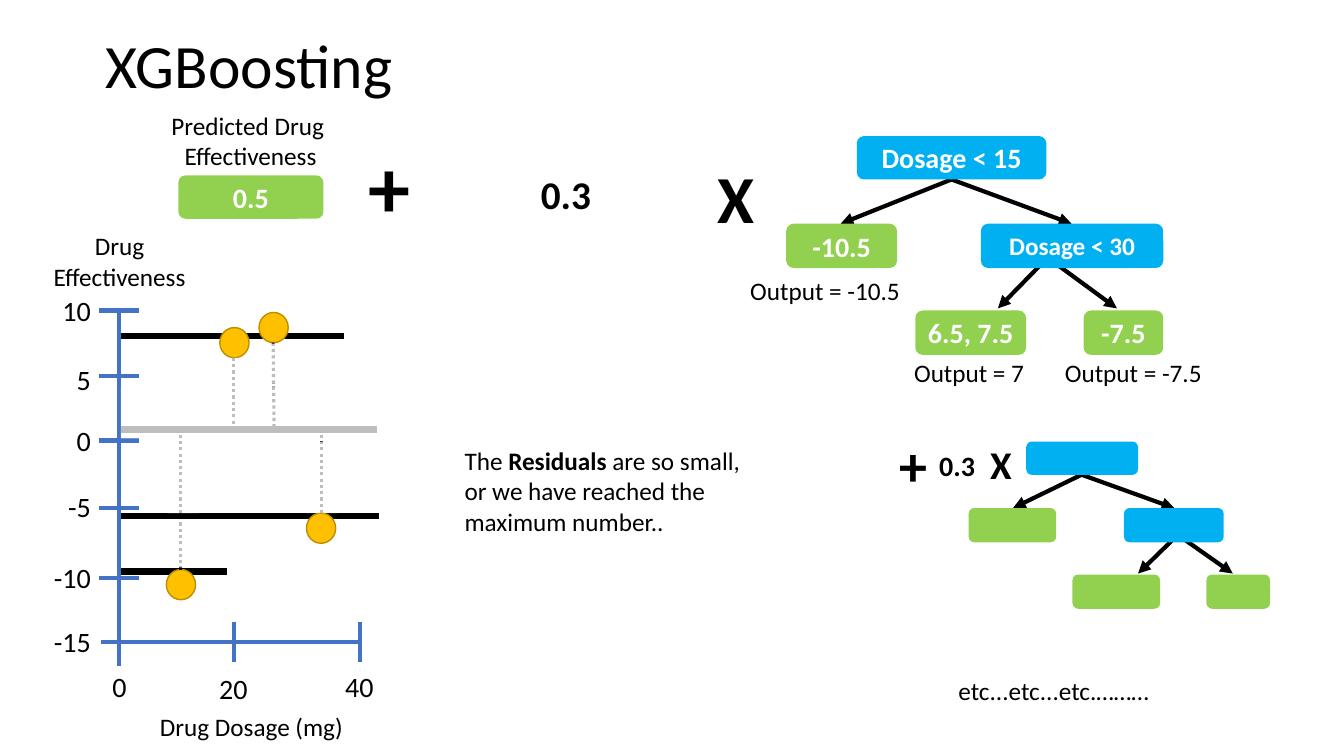
from lxml import etree
from pptx import Presentation
from pptx.dml.color import RGBColor
from pptx.enum.dml import MSO_LINE
from pptx.enum.shapes import MSO_CONNECTOR, MSO_SHAPE
from pptx.enum.text import MSO_ANCHOR, MSO_AUTO_SIZE, PP_ALIGN
from pptx.oxml.ns import qn
from pptx.util import Pt

STRAIGHT = MSO_CONNECTOR.STRAIGHT
DOTTED = MSO_LINE.ROUND_DOT
ROUNDED, OVAL, RECTANGLE = MSO_SHAPE.ROUNDED_RECTANGLE, MSO_SHAPE.OVAL, MSO_SHAPE.RECTANGLE
LEFT, CENTER, RIGHT = PP_ALIGN.LEFT, PP_ALIGN.CENTER, PP_ALIGN.RIGHT
FONT = "Calibri"
TITLE_ONLY = 5
COLORS = {
    "black": "000000",
    "white": "FFFFFF",
    "axis": "4472C4",
    "dot": "FFC000",
    "dot edge": "BD8E00",
    "node": "00B0F0",
    "leaf": "92D050",
}


def color(name):
    return RGBColor.from_string(COLORS[name])


def add_span(para, text, size, tint="black", bold=False):
    span = para.add_run()
    span.text = text
    span.font.name = FONT
    span.font.size = Pt(size)
    span.font.bold = bold
    span.font.color.rgb = color(tint)


def add_line(shapes, x1, y1, x2, y2, width, tint="black", dash=None, arrow=False):
    line = shapes.add_connector(STRAIGHT, Pt(x1), Pt(y1), Pt(x2), Pt(y2))
    line.line.width = Pt(width)
    line.line.color.rgb = color(tint)
    if dash:
        line.line.dash_style = dash
    if arrow:
        etree.SubElement(line.line._get_or_add_ln(), qn("a:tailEnd"), type="triangle")
    etree.SubElement(line._element.spPr, qn("a:effectLst"))


def add_filled(shapes, kind, frame, tint, edge=None):
    shape = shapes.add_shape(kind, *map(Pt, frame))
    shape.shadow.inherit = False
    shape.fill.solid()
    shape.fill.fore_color.rgb = color(tint)
    if edge:
        shape.line.color.rgb = color(edge)
        shape.line.width = Pt(1)
    else:
        shape.line.fill.background()
    return shape


def add_node(shapes, frame, tint, label="", size=20):
    node = add_filled(shapes, ROUNDED, frame, tint)
    if label:
        node.text_frame.vertical_anchor = MSO_ANCHOR.MIDDLE
        para = node.text_frame.paragraphs[0]
        para.alignment = CENTER
        add_span(para, label, size, "white", True)


def add_veil(shapes, frame):
    veil = add_filled(shapes, RECTANGLE, frame, "white")
    tint = veil._element.spPr.find(qn("a:solidFill")).find(qn("a:srgbClr"))
    etree.SubElement(tint, qn("a:alpha"), val="74000")


def add_label(shapes, frame, paragraphs, size, align=CENTER, bold=False):
    """Place a text box whose paragraphs are strings or lists of (text, bold) spans."""
    box = shapes.add_textbox(*map(Pt, frame))
    text = box.text_frame
    text.word_wrap = True
    text.auto_size = MSO_AUTO_SIZE.SHAPE_TO_FIT_TEXT
    for index, spans in enumerate(paragraphs):
        para = text.add_paragraph() if index else text.paragraphs[0]
        para.alignment = align
        if isinstance(spans, str):
            spans = [(spans, bold)]
        for words, strong in spans:
            add_span(para, words, size, bold=strong)


def add_title(page, words):
    title = page.shapes.title
    title.left, title.top, title.width, title.height = map(Pt, (68.4, -28, 237.6, 104.4))
    title.text_frame.vertical_anchor = MSO_ANCHOR.BOTTOM
    title.text_frame.auto_size = MSO_AUTO_SIZE.NONE
    para = title.text_frame.paragraphs[0]
    para.alignment = LEFT
    para.line_spacing = 0.9
    add_span(para, words, 44)


def add_plot(shapes):
    for y, end in ((239.8, 245.5), (368.6, 270.7), (408.2, 162)):
        add_line(shapes, 86.4, y, end, y, 4.5)
    plot = shapes.add_group_shape().shapes
    add_line(plot, 85, 221.8, 85, 475.9, 3, "axis")
    add_line(plot, 72, 458.6, 257, 458.6, 3, "axis")
    for y in (221.8, 268.6, 314.6, 362.9, 412.6):
        add_line(plot, 70.6, y, 99.4, y, 3, "axis")
    for x in (167, 257):
        add_line(plot, x, 444.2, x, 473, 3, "axis")
    for label, top in (("10", 205.9), ("5", 255.6), ("0", 298.8),
                       ("-5", 346.3), ("-10", 396.7), ("-15", 442.8)):
        add_label(plot, (31, top, 41, 31.5), [label], 20, RIGHT)
    for label, left, top in (("0", 64.8, 474.5), ("20", 146.2, 475.9), ("40", 236.2, 474.5)):
        add_label(plot, (left, top, 41, 31.5), [label], 20)
    add_label(plot, (27.4, 161.3, 116, 51), ["Drug", "Effectiveness"], 18)
    add_label(plot, (105.8, 504.7, 147.6, 29), ["Drug Dosage (mg) "], 18)
    for left, top in ((118.8, 406.8), (218.9, 366.5), (157, 234), (185, 223.2)):
        add_filled(plot, OVAL, (left, top, 20.9, 21.6), "dot", "dot edge")


def add_residuals(shapes):
    add_line(shapes, 86.4, 306.7, 269.3, 306.7, 4.5)
    for x1, y1, x2, y2 in ((128.9, 406.8, 128.9, 306.7), (167, 255.6, 167, 306.7),
                           (195.1, 244.8, 195.8, 306.7), (229.7, 366.5, 229.7, 309.6)):
        add_line(shapes, x1, y1, x2, y2, 2.25, dash=DOTTED)
    for frame in ((107.3, 313.9, 42.5, 32.4), (86.4, 276.5, 223.2, 36.7),
                  (214.6, 315.4, 56.2, 30.2), (156.2, 255.6, 22.3, 20.9),
                  (184.3, 245.5, 22.3, 28.1), (119.5, 345.6, 22.3, 20.9),
                  (121, 371.5, 22.3, 33.8), (218.9, 346.3, 22.3, 20.2)):
        add_veil(shapes, frame)


def add_tree(shapes, arrows, nodes):
    tree = shapes.add_group_shape().shapes
    for arrow in arrows:
        add_line(tree, *arrow, 3, arrow=True)
    for node in nodes:
        add_node(tree, *node)
    return tree


def add_trees(shapes):
    first = add_tree(
        shapes,
        [(679.7, 128.2, 600.5, 159.8), (679.7, 128.2, 765.4, 159.8),
         (745.9, 186.5, 712.8, 220.3), (751.7, 186.5, 797.8, 220.3)],
        [((612, 97.2, 135.4, 31), "node", "Dosage < 15"),
         ((561.6, 159.8, 79.2, 31.7), "leaf", "-10.5"),
         ((653.8, 221.8, 79.2, 31.7), "leaf", "6.5, 7.5"),
         ((774, 221.8, 56.9, 31.7), "leaf", "-7.5"),
         ((700.6, 159.8, 130.3, 31.7), "node", "Dosage < 30", 18)])
    for words, left, top in (("Output = -10.5", 527.8, 193), ("Output = -7.5", 748, 252),
                             ("Output = 7", 630.7, 252)):
        add_label(first, (left, top, 123, 29), [words], 18)
    add_tree(
        shapes,
        [(772.6, 339.1, 723.6, 362.9), (772.6, 339.1, 838.8, 362.9),
         (839.5, 383.8, 812.9, 409.7), (843.8, 383.8, 880.6, 409.7)],
        [((733, 315.4, 79.9, 23.8), "node"),
         ((691.9, 362.9, 62.6, 24.5), "leaf"),
         ((766.1, 410.4, 62.6, 24.5), "leaf"),
         ((861.8, 410.4, 45.4, 24.5), "leaf"),
         ((802.8, 362.9, 71.3, 24.5), "node")])


def add_formula(shapes):
    prediction = shapes.add_group_shape().shapes
    add_node(prediction, (127.4, 125.3, 103.7, 31), "leaf", "0.5")
    add_label(prediction, (110.2, 74.9, 137.5, 51), ["Predicted Drug ", "Effectiveness"], 18)
    for words, size, frame in (
            ("+", 60, (252.7, 92.9, 50.4, 80)), ("0.3", 28, (296.6, 118, 215.3, 41)),
            ("X", 48, (500.4, 108, 50.4, 65.5)), ("+", 40, (627, 303.8, 50.4, 55.4)),
            ("0.3", 20, (658.8, 316.8, 49.7, 31.5)), ("X", 28, (689.8, 311, 50.4, 41))):
        add_label(shapes, frame, [words], size, bold=True)


def main():
    deck = Presentation()
    deck.slide_width, deck.slide_height = Pt(960), Pt(540)
    page = deck.slides.add_slide(deck.slide_layouts[TITLE_ONLY])
    add_title(page, "XGBoosting")
    add_plot(page.shapes)
    add_residuals(page.shapes)
    add_trees(page.shapes)
    add_formula(page.shapes)
    add_label(page.shapes, (677.5, 478.8, 195.8, 29), ["etc...etc...etc.………"], 18, LEFT)
    add_label(page.shapes, (324.7, 314.6, 215.3, 72.7), [[
        ("The ", False), ("Residuals", True),
        (" are so small, or we have reached the maximum number..", False)]], 18, LEFT)
    deck.save("out.pptx")


if __name__ == "__main__":
    main()
